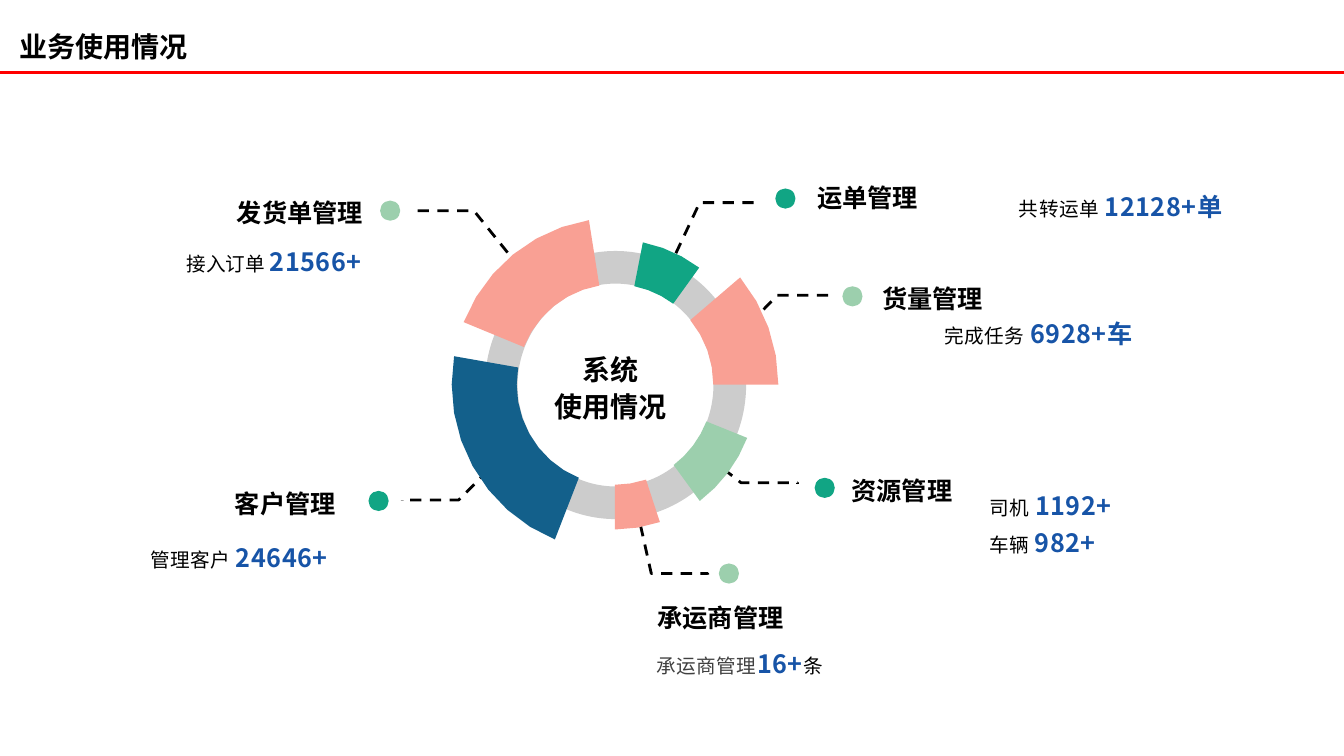
import math
import lxml.etree
import pptx
import pptx.dml.color
import pptx.enum.dml
import pptx.enum.shapes
import pptx.enum.text
import pptx.oxml.ns
import pptx.util

HUE = {"ink": "000000", "gray": "404040", "blue": "1754A7", "red": "FF0000",
       "ring": "CCCCCC", "mint": "9CCFAD", "coral": "F9A094",
       "green": "11A584", "navy": "13608B"}
CJK, LATIN = "Noto Sans CJK SC", "Arial"
# Text styles: size, font, colour, bold, letter spacing
STYLE = {"title": (20, CJK, "ink", True, 0),
         "core": (20, LATIN, "ink", True, 0),
         "head": (18, LATIN, "ink", True, 0),
         "label": (14, CJK, "ink", False, 40),
         "plain": (14, LATIN, "ink", False, 0),
         "gray": (14, CJK, "gray", False, 40),
         "num": (18, CJK, "blue", True, 40)}
COLS, ROWS = 133.3, 75
SHAPE = pptx.enum.shapes.MSO_SHAPE
ALIGN = pptx.enum.text.PP_ALIGN
qn = pptx.oxml.ns.qn


class Deck:
    """Places elements on a grid of 133.3 columns by 75 rows."""

    def __init__(self):
        self.show = pptx.Presentation()
        self.show.slide_width = pptx.util.Inches(13.33)
        self.show.slide_height = pptx.util.Inches(7.5)
        self.slide = self.show.slides.add_slide(self.show.slide_layouts[5])
        self.shapes = self.slide.shapes

    def col(self, n):
        return round(n * self.show.slide_width / COLS)

    def row(self, n):
        return round(n * self.show.slide_height / ROWS)

    def box(self, x, y, w, h):
        return self.col(x), self.row(y), self.col(w), self.row(h)

    def color(self, name):
        return pptx.dml.color.RGBColor.from_string(HUE[name])

    def font(self, font, style):
        size, face, hue, bold, gap = STYLE[style]
        font.size, font.name, font.bold = pptx.util.Pt(size), face, bold
        font.color.rgb = self.color(hue)
        mark = font._rPr
        if gap:
            mark.set("spc", str(gap))
        lxml.etree.SubElement(mark, qn("a:ea")).set("typeface", CJK)

    def fill(self, shape, hue):
        shape.shadow.inherit = False
        shape.fill.solid()
        shape.fill.fore_color.rgb = self.color(hue)
        shape.line.fill.background()

    def title(self, place, text):
        shape = self.shapes.title
        shape.left, shape.top, shape.width, shape.height = self.box(*place)
        frame = shape.text_frame
        frame.text = text
        frame.word_wrap = True
        frame.vertical_anchor = pptx.enum.text.MSO_ANCHOR.MIDDLE
        frame.auto_size = pptx.enum.text.MSO_AUTO_SIZE.SHAPE_TO_FIT_TEXT
        para = frame.paragraphs[0]
        para.alignment, para.line_spacing = ALIGN.LEFT, 0.9
        self.font(para.font, "title")

    def text(self, place, *parts):
        """Each part is (text, style); a newline in it breaks the line."""
        frame = self.shapes.add_textbox(*self.box(*place)).text_frame
        frame.word_wrap = True
        frame.auto_size = pptx.enum.text.MSO_AUTO_SIZE.SHAPE_TO_FIT_TEXT
        para = frame.paragraphs[0]
        para.alignment, para.line_spacing = ALIGN.CENTER, 1.1
        if len(parts) == 1:
            self.font(para.font, parts[0][1])
        for words, style in parts:
            for i, line in enumerate(words.split("\n")):
                if i:
                    para.add_line_break()
                run = para.add_run()
                run.text = line
                if len(parts) > 1:
                    self.font(run.font, style)

    def rule(self, y, hue, width):
        line = self.shapes.add_connector(
            pptx.enum.shapes.MSO_CONNECTOR.STRAIGHT,
            0, self.row(y), self.col(COLS), self.row(y))
        line.line.color.rgb = self.color(hue)
        line.line.width = pptx.util.Pt(width)
        lxml.etree.SubElement(line._element.spPr, qn("a:effectLst"))

    def form(self, points, close):
        spots = [(self.col(x), self.row(y)) for x, y in points]
        pen = self.shapes.build_freeform(*spots[0])
        pen.add_line_segments(spots[1:], close=close)
        return pen.convert_to_shape()

    def lead(self, *points):
        x, y = points[-1]
        shape = self.form([*points, (x, y + 0.1)], False)
        shape.shadow.inherit = False
        shape.fill.background()
        shape.line.color.rgb = self.color("ink")
        shape.line.width = pptx.util.Pt(2)
        shape.line.dash_style = pptx.enum.dml.MSO_LINE.DASH

    def dot(self, x, y, hue):
        self.fill(self.shapes.add_shape(SHAPE.OVAL, *self.box(x, y, 2, 2)), hue)

    def ring(self, place, share, hue):
        shape = self.shapes.add_shape(SHAPE.DONUT, *self.box(*place))
        shape.adjustments[0] = share
        self.fill(shape, hue)

    def wedge(self, start, end, reach, hue):
        """Ring sector; angles run clockwise from the right."""
        steps = math.ceil((end - start) / 10)

        def arc(size, a, b):
            turns = [math.radians(a + (b - a) * i / steps)
                     for i in range(steps + 1)]
            return [(MID[0] + size * math.cos(t),
                     MID[1] + size * TALL * math.sin(t)) for t in turns]
        points = arc(CORE, start, end) + arc(reach, end, start)
        self.fill(self.form(points, True), hue)


# Wheel: centre, inner radius, height to width
MID, CORE, TALL = (61, 38.15), 9.75, 1.02

LEADS = [((66.2, 26.9), (69.4, 20.1), (75, 20.1)),
         ((73, 33.5), (77.1, 29.3), (82.8, 29.3)),
         ((70.2, 45.3), (73.5, 47.9), (79.1, 47.9)),
         ((63.1, 50.2), (64.6, 56.9), (70.2, 56.9)),
         ((49.8, 45.3), (45.5, 49.6), (39.9, 49.6)),
         ((52.8, 28.1), (47, 20.9), (41.4, 20.9))]

WEDGES = [(21.6, 53.4, 14.1, "mint"), (71.6, 90, 14.1, "coral"),
          (-78.7, -53.7, 14.1, "green"), (111.6, 189.8, 16.2, "navy"),
          (-40, 0, 16.2, "coral"), (202, 260.8, 16.2, "coral")]

# Topic, its left and top, then its dot
TOPICS = [("发货单管理", 21.8, 18.8, 37.7, 19.9, "mint"),
          ("运单管理", 78.1, 17.3, 76.9, 18.7, "green"),
          ("货量管理", 84.55, 27.3, 83.55, 28.4, "mint"),
          ("资源管理", 81.5, 46.4, 80.8, 47.4, "green"),
          ("承运商管理", 63.5, 59, 71.3, 55.9, "mint"),
          ("客户管理", 20.35, 47.65, 36.55, 48.7, "green")]

# Left, top and width of each figure, then its parts
FACTS = [(14.8, 23.6, 24.8, ("接入订单 ", "plain"), ("21566+", "num")),
         (90.3, 18.2, 41.7, ("共转运单 ", "label"), ("12128+单", "num")),
         (91.35, 47.85, 25.7, ("司机 ", "label"), ("1192+", "num")),
         (90.55, 51.55, 25.7, ("车辆 ", "label"), ("982+", "num")),
         (90.15, 30.8, 25.7, ("完成任务 ", "label"), ("6928+车", "num")),
         (52.5, 63.5, 41.7, ("承运商管理", "gray"), ("16+", "num"),
          ("条", "plain")),
         (10.85, 53, 25.7, ("管理客户 ", "label"), ("24646+", "num"))]


def main():
    deck = Deck()
    # Header
    deck.rule(7.23, "red", 2.25)
    deck.title((0.9, 2.8, 30.8, 4), "业务使用情况")
    # Leader lines, below the wheel
    for points in LEADS:
        deck.lead(*points)
    # Wheel
    deck.ring((48.1, 24.9, 25.9, 26.6), 0.125, "ring")
    for wedge in WEDGES:
        deck.wedge(*wedge)
    deck.text((50.6, 34.15, 20, 8.4), ("系统\n使用情况", "core"))
    # Topics and dots
    for name, x, y, *dot in TOPICS:
        deck.dot(*dot)
        deck.text((x, y, 15.9, 4.2), (name, "head"))
    # Figures
    for x, y, w, *parts in FACTS:
        deck.text((x, y, w, 4.3), *parts)
    deck.show.save("out.pptx")


if __name__ == "__main__":
    main()
